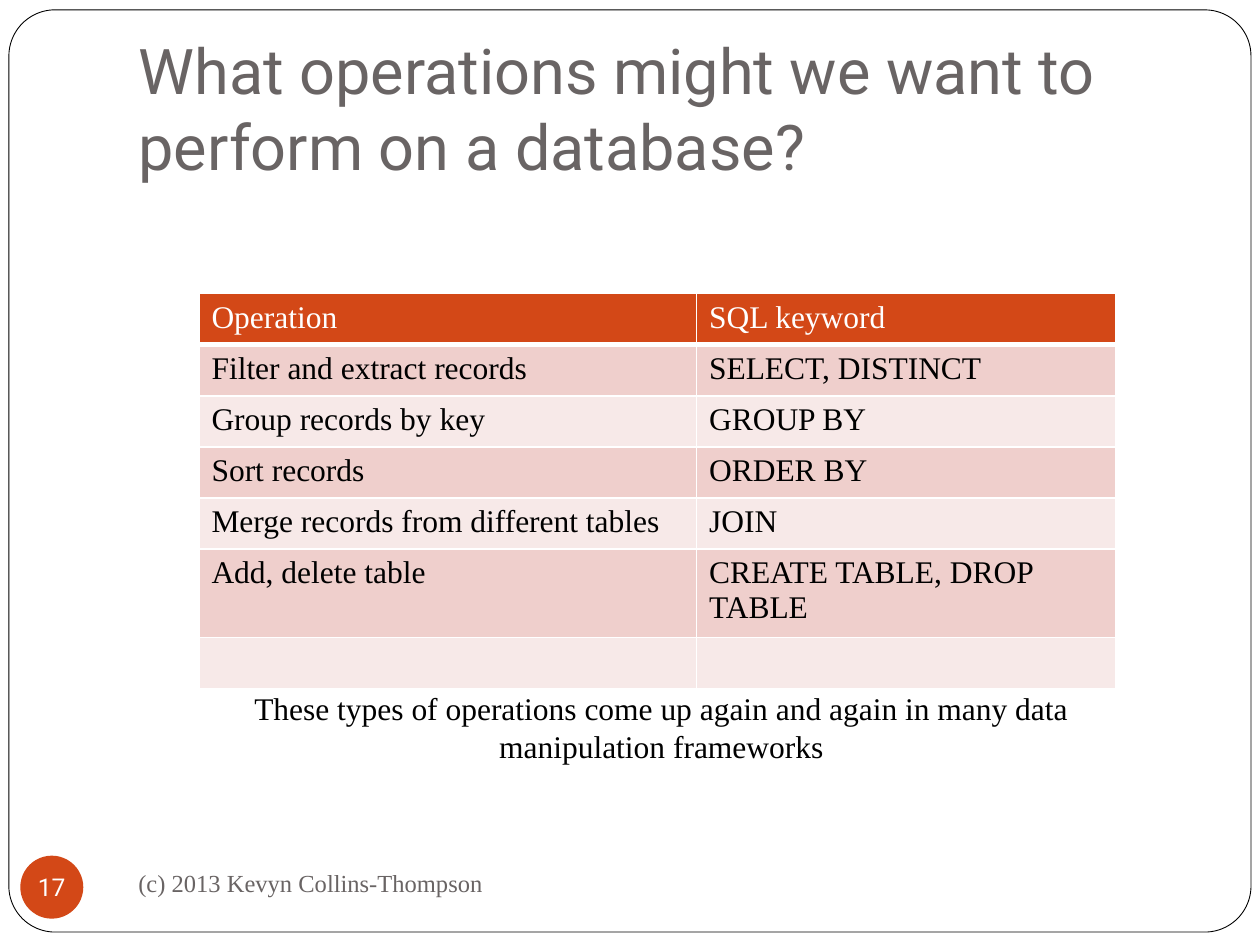
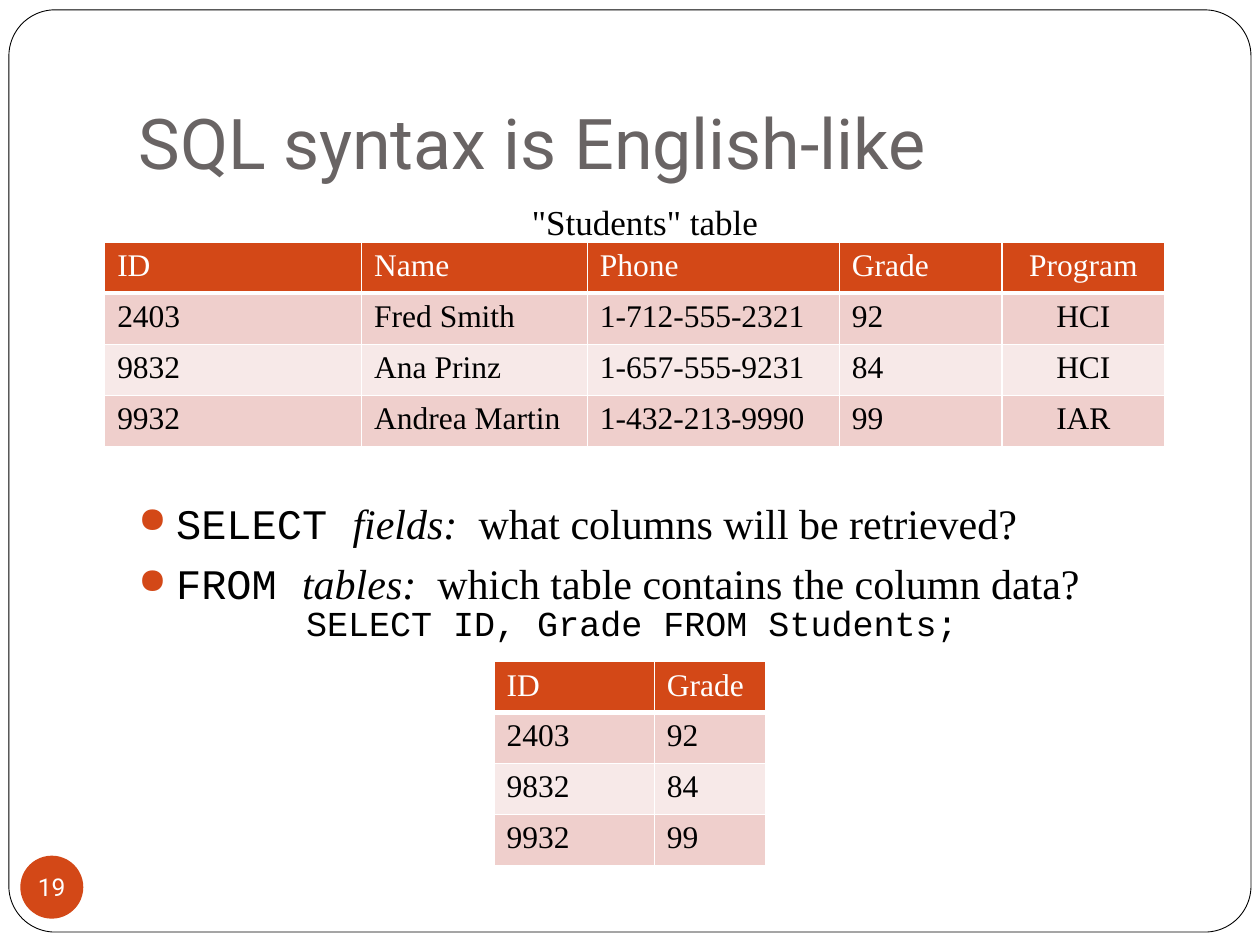
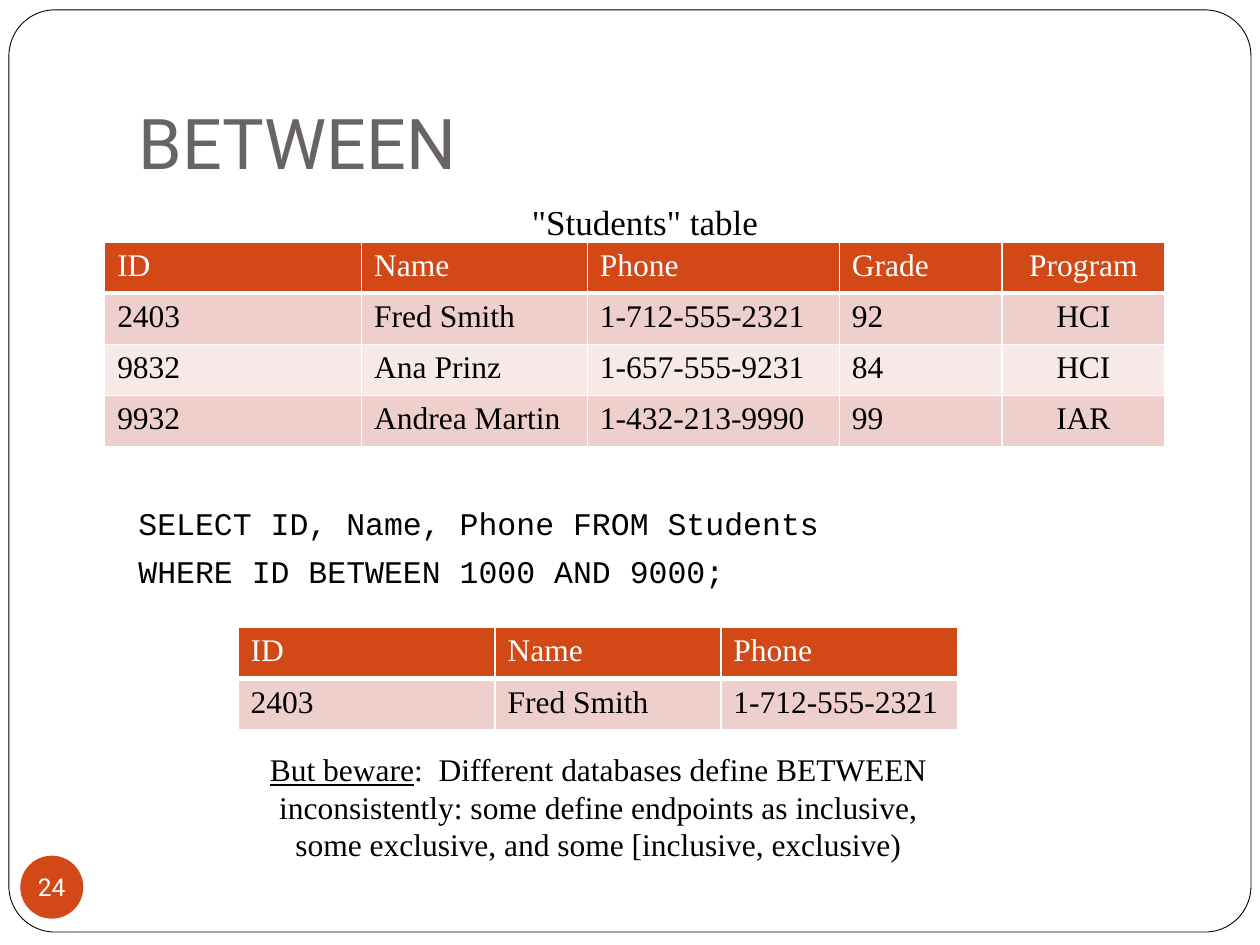
from lxml.etree import SubElement
from pptx import Presentation
from pptx.dml.color import RGBColor
from pptx.enum.shapes import MSO_SHAPE
from pptx.enum.text import MSO_ANCHOR, MSO_AUTO_SIZE, PP_ALIGN
from pptx.oxml.ns import qn
from pptx.util import Cm, Pt

# Shared look
ORANGE = RGBColor(0xD3, 0x48, 0x17)
GREY = RGBColor(0x69, 0x64, 0x64)
ROSE = RGBColor(0xEF, 0xCF, 0xCC)
PALE_ROSE = RGBColor(0xF7, 0xE9, 0xE8)
BLACK = RGBColor(0, 0, 0)
WHITE = RGBColor(0xFF, 0xFF, 0xFF)
HEADING_FONT, BODY_FONT, CODE_FONT = "Roboto", "Times New Roman", "Courier New"

# Boxes are left, top, width, height in centimetres
FRAME_BOX = (0.18, 0.2, 25.04, 18.59)
TITLE_BOX = (2.54, 0.76, 21.59, 3.18)
BADGE_BOX = (0.41, 17.25, 1.27, 1.27)
FOOTER_BOX = (2.54, 17.15, 11, 1.27)
CAPTION_BOX = (5.92, 3.91, 14.17, 1.47)
ROW_HEIGHT = 1.03
PARAGRAPH_GAP = 5.8
BULLET_INDENT = 0.76

# Content: a paragraph is a list of (text, style) runs
CODE = {"font": CODE_FONT}
ITALIC = {"italic": True}
FOOTER = [[("(c) 2013 Kevyn Collins-Thompson", {"color": GREY})]]
STUDENTS_CAPTION = [[('"Students" table', {})]]

OPERATIONS = [
    ("Operation", "SQL keyword"),
    ("Filter and extract records", "SELECT, DISTINCT"),
    ("Group records by key", "GROUP BY"),
    ("Sort records", "ORDER BY"),
    ("Merge records from different tables", "JOIN"),
    ("Add, delete table", "CREATE TABLE, DROP TABLE"),
    ("", ""),
]
OPERATIONS_NOTE = [
    [("These types of operations come up again and again in many data", {})],
    [("manipulation frameworks", {})],
]

STUDENTS = [
    ("ID", "Name", "Phone", "Grade", "Program"),
    ("2403", "Fred Smith", "1-712-555-2321", "92", "HCI"),
    ("9832", "Ana Prinz", "1-657-555-9231", "84", "HCI"),
    ("9932", "Andrea Martin", "1-432-213-9990", "99", "IAR"),
]
GRADES = [(row[0], row[3]) for row in STUDENTS]
BETWEEN_RESULT = [row[:3] for row in STUDENTS[:2]]

CLAUSES = [
    [("SELECT ", CODE), ("fields:  ", ITALIC), ("what columns will be retrieved?", {})],
    [("FROM ", CODE), ("tables:  ", ITALIC), ("which table contains the column data?", {})],
]
GRADES_QUERY = [[("SELECT ID, Grade FROM Students;", CODE)]]
BETWEEN_QUERY = [
    [("SELECT ID, Name, Phone FROM Students", CODE)],
    [("WHERE ID BETWEEN 1000 AND 9000;", CODE)],
]
BEWARE = [[
    ("But beware", {"underline": True}),
    (":  Different databases define BETWEEN inconsistently: some define endpoints "
     "as inclusive, some exclusive, and some [inclusive, exclusive)", {}),
]]


def in_cm(box):
    """Turn a box of plain numbers into lengths."""
    return [Cm(value) for value in box]


def add_run(paragraph, text, size, font=BODY_FONT, color=BLACK, italic=False, underline=False):
    """Append one formatted run."""
    run = paragraph.add_run()
    run.text = text
    run.font.name = font
    run.font.size = Pt(size)
    run.font.color.rgb = color
    run.font.italic = italic
    run.font.underline = underline


def add_bullet(paragraph):
    """Give a paragraph a hanging orange bullet."""
    properties = paragraph._p.get_or_add_pPr()
    properties.set("marL", str(Cm(BULLET_INDENT)))
    properties.set("indent", str(-Cm(BULLET_INDENT)))
    color = SubElement(properties, qn("a:buClr"))
    SubElement(color, qn("a:srgbClr")).set("val", str(ORANGE))
    SubElement(properties, qn("a:buSzPct")).set("val", "85000")
    SubElement(properties, qn("a:buChar")).set("char", "●")


def add_text(slide, box, paragraphs, size, align=PP_ALIGN.LEFT, gap=0,
             bullets=False, anchor=MSO_ANCHOR.TOP):
    """Add a wrapping text box, with a gap between its paragraphs."""
    frame = slide.shapes.add_textbox(*in_cm(box)).text_frame
    frame.word_wrap = True
    frame.vertical_anchor = anchor
    for index, runs in enumerate(paragraphs):
        paragraph = frame.add_paragraph() if index else frame.paragraphs[0]
        paragraph.alignment = align
        paragraph.space_before = Pt(gap if index else 0)
        if bullets:
            add_bullet(paragraph)
        for text, style in runs:
            add_run(paragraph, text, size, **style)


def set_borders(cell, bottom):
    """Draw white cell borders, 1 pt except for the bottom one."""
    properties = cell._tc.get_or_add_tcPr()
    widths = {"a:lnL": 1, "a:lnR": 1, "a:lnT": 1, "a:lnB": bottom}
    for position, (tag, width) in enumerate(widths.items()):
        line = SubElement(properties, qn(tag), w=str(Pt(width)))
        fill = SubElement(line, qn("a:solidFill"))
        SubElement(fill, qn("a:srgbClr")).set("val", str(WHITE))
        properties.insert(position, line)


def add_banded_table(slide, left, top, widths, rows, centered=(), header_height=ROW_HEIGHT):
    """Add a table with an orange header and alternating rose rows."""
    heights = [header_height] + [ROW_HEIGHT] * (len(rows) - 1)
    box = in_cm((left, top, sum(widths), sum(heights)))
    table = slide.shapes.add_table(len(rows), len(widths), *box).table
    for column, width in zip(table.columns, widths):
        column.width = Cm(width)
    for r, (values, height) in enumerate(zip(rows, heights)):
        table.rows[r].height = Cm(height)
        for c, value in enumerate(values):
            cell = table.cell(r, c)
            cell.fill.solid()
            cell.fill.fore_color.rgb = ORANGE if r == 0 else ROSE if r % 2 else PALE_ROSE
            set_borders(cell, bottom=1 if r else 3)
            paragraph = cell.text_frame.paragraphs[0]
            paragraph.alignment = PP_ALIGN.CENTER if c in centered else PP_ALIGN.LEFT
            if value:
                add_run(paragraph, value, 18, color=BLACK if r else WHITE)


def add_slide(prs, title_text, number, title_size=40):
    """Start a slide with its frame, title and number badge."""
    slide = prs.slides.add_slide(prs.slide_layouts[5])

    border = slide.shapes.add_shape(MSO_SHAPE.ROUNDED_RECTANGLE, *in_cm(FRAME_BOX))
    border.adjustments[0] = 0.05
    border.shadow.inherit = False
    border.fill.solid()
    border.fill.fore_color.rgb = WHITE
    border.line.color.rgb = BLACK
    border.line.width = Pt(0.5)
    slide.shapes._spTree.insert(2, border._element)  # behind the title

    title = slide.shapes.title
    title.left, title.top, title.width, title.height = in_cm(TITLE_BOX)
    heading = title.text_frame
    heading.auto_size = MSO_AUTO_SIZE.NONE
    heading.vertical_anchor = MSO_ANCHOR.BOTTOM
    heading.margin_bottom = Cm(0.25)
    heading.paragraphs[0].alignment = PP_ALIGN.LEFT
    add_run(heading.paragraphs[0], title_text, title_size, HEADING_FONT, GREY)

    badge = slide.shapes.add_shape(MSO_SHAPE.OVAL, *in_cm(BADGE_BOX))
    badge.shadow.inherit = False
    badge.fill.solid()
    badge.fill.fore_color.rgb = ORANGE
    badge.line.fill.background()
    label = badge.text_frame
    label.word_wrap = False
    label.vertical_anchor = MSO_ANCHOR.MIDDLE
    label.margin_left = label.margin_right = label.margin_top = label.margin_bottom = 0
    label.paragraphs[0].alignment = PP_ALIGN.CENTER
    add_run(label.paragraphs[0], str(number), 14, HEADING_FONT, WHITE)
    return slide


def add_students(slide):
    """Add the captioned table that the queries read from."""
    add_banded_table(slide, 2.11, 4.88, (5.18, 4.55, 5.08, 3.28, 3.28), STUDENTS, centered=(4,))
    add_text(slide, CAPTION_BOX, STUDENTS_CAPTION, 20, PP_ALIGN.CENTER)


prs = Presentation()
prs.slide_width, prs.slide_height = Cm(25.4), Cm(19.05)

operations = add_slide(prs, "What operations might we want to perform on a database?", 17, 36)
add_text(operations, FOOTER_BOX, FOOTER, 14, anchor=MSO_ANCHOR.MIDDLE)
add_banded_table(operations, 4.01, 5.92, (10.03, 8.46), OPERATIONS)
add_text(operations, (4.65, 13.77, 17.37, 1.8), OPERATIONS_NOTE, 18, PP_ALIGN.CENTER)

syntax = add_slide(prs, "SQL syntax is English-like", 19)
add_text(syntax, (2.54, 9.9, 21.59, 2.5), CLAUSES, 24, gap=PARAGRAPH_GAP, bullets=True)
add_text(syntax, (5.92, 12.01, 14.17, 1.2), GRADES_QUERY, 20)
add_students(syntax)
add_banded_table(syntax, 9.96, 13.34, (3.23, 2.24), GRADES, header_height=0.95)

between = add_slide(prs, "BETWEEN", 24)
add_text(between, (2.54, 10.03, 21.59, 2.1), BETWEEN_QUERY, 18, gap=PARAGRAPH_GAP)
add_banded_table(between, 4.8, 12.65, (5.18, 4.55, 4.78), BETWEEN_RESULT)
add_students(between)
add_text(between, (5.08, 14.99, 13.97, 2.57), BEWARE, 18, PP_ALIGN.CENTER)

prs.save("out.pptx")
